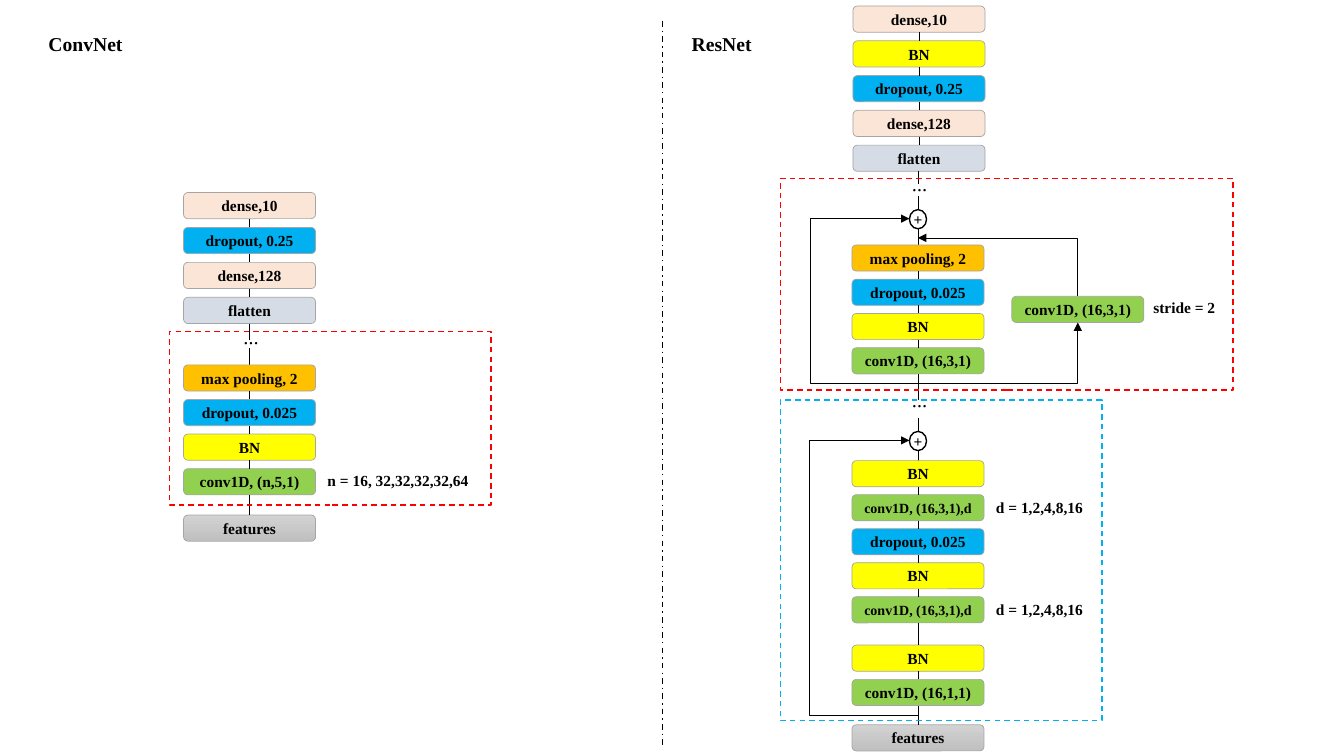
from lxml import etree
from pptx import Presentation
from pptx.dml.color import RGBColor
from pptx.enum.dml import MSO_LINE
from pptx.enum.shapes import MSO_CONNECTOR, MSO_SHAPE
from pptx.enum.text import MSO_ANCHOR, PP_ALIGN
from pptx.oxml.ns import qn
from pptx.util import Inches, Pt

STRAIGHT, ELBOW = MSO_CONNECTOR.STRAIGHT, MSO_CONNECTOR.ELBOW
ROUNDED, RECTANGLE, OVAL = MSO_SHAPE.ROUNDED_RECTANGLE, MSO_SHAPE.RECTANGLE, MSO_SHAPE.OVAL
DASH, DASH_DOT = MSO_LINE.DASH, MSO_LINE.DASH_DOT
TOP, MIDDLE = MSO_ANCHOR.TOP, MSO_ANCHOR.MIDDLE
LEFT, CENTER = PP_ALIGN.LEFT, PP_ALIGN.CENTER

BLACK = RGBColor(0x00, 0x00, 0x00)
BORDER = RGBColor(0xA5, 0xA5, 0xA5)
RED = RGBColor(0xFF, 0x00, 0x00)
BLUE = RGBColor(0x00, 0xB0, 0xF0)
GREEN = RGBColor(0x92, 0xD0, 0x50)
YELLOW = RGBColor(0xFF, 0xFF, 0x00)
ORANGE = RGBColor(0xFF, 0xC0, 0x00)
PEACH = RGBColor(0xFB, 0xE5, 0xD6)
GREY_BLUE = RGBColor(0xD6, 0xDC, 0xE5)
LIGHT_GREY = RGBColor(0xD2, 0xD2, 0xD2)
GREY = RGBColor(0xC0, 0xC0, 0xC0)

SERIF, CJK = "Times New Roman", "Noto Sans CJK SC"
SLIDE_W, SLIDE_H = 13.33, 7.5
LAYER_W, LAYER_H = 1.31, 0.26
PLUS_W, PLUS_H = 0.17, 0.19

# Layer kind, by the first word of its label
LAYER_FILLS = {"dense": PEACH, "BN": YELLOW, "dropout": BLUE, "flatten": GREY_BLUE,
               "max pooling": ORANGE, "conv1D": GREEN}


def write(shape, text, size=11, align=LEFT, anchor=TOP, font_name=SERIF):
    frame = shape.text_frame
    frame.word_wrap = True
    frame.vertical_anchor = anchor
    paragraph = frame.paragraphs[0]
    paragraph.alignment = align
    paragraph.space_before = Pt(0)
    run = paragraph.add_run()
    run.text = text
    font = run.font
    font.name, font.size, font.bold = font_name, Pt(size), True
    font.color.rgb = BLACK


def add_label(slide, text, left, top, width, size=11, font_name=SERIF):
    label = slide.shapes.add_textbox(*map(Inches, (left, top, width, 0.29)))
    write(label, text, size, font_name=font_name)
    return label


def add_ellipsis(slide, center, top):
    label = add_label(slide, "…", center - 0.16, top, 0.31, font_name=CJK)
    properties = label.text_frame.paragraphs[0].runs[0].font._element
    etree.SubElement(properties, qn("a:ea")).set("typeface", CJK)


def add_outline(slide, kind, box, color, width):
    shape = slide.shapes.add_shape(kind, *map(Inches, box))
    shape.shadow.inherit = False
    shape.fill.background()
    shape.line.color.rgb = color
    shape.line.width = Pt(width)
    return shape


def add_frame(slide, box, color):
    add_outline(slide, RECTANGLE, box, color, 1).line.dash_style = DASH


def add_centered(slide, kind, box, text, color, width, size=11):
    shape = add_outline(slide, kind, box, color, width)
    frame = shape.text_frame
    frame.margin_left = frame.margin_right = frame.margin_top = frame.margin_bottom = 0
    write(shape, text, size, CENTER, MIDDLE)
    return shape


def add_layer(slide, text, left, top):
    size = 10 if text.endswith(",d") else 11
    layer = add_centered(slide, ROUNDED, (left, top, LAYER_W, LAYER_H), text, BORDER, 0.5, size)
    kind = text.split(",")[0]
    if kind in LAYER_FILLS:
        layer.fill.solid()
        layer.fill.fore_color.rgb = LAYER_FILLS[kind]
    else:
        layer.fill.gradient()
        layer.fill.gradient_angle = 270
        for stop, color in zip(layer.fill.gradient_stops, (LIGHT_GREY, GREY)):
            stop.color.rgb = color
    return layer


def add_plus(slide, center, top):
    box = (center - PLUS_W / 2, top, PLUS_W, PLUS_H)
    add_centered(slide, OVAL, box, "+", BLACK, 1)


def add_line(slide, x1, y1, x2, y2, kind=STRAIGHT, width=0.5):
    line = slide.shapes.add_connector(kind, *map(Inches, (x1, y1, x2, y2)))
    line.line.color.rgb = BLACK
    line.line.width = Pt(width)
    etree.SubElement(line._element.spPr, qn("a:effectLst"))
    return line


def add_arrowhead(line, end):
    outline = line._element.spPr.find(qn("a:ln"))
    etree.SubElement(outline, qn(f"a:{end}")).set("type", "triangle")


def add_corner(slide, x1, y1, x2, y2, end):
    """Arrow that runs level from (x1, y1), then upright to (x2, y2)."""
    corner = add_line(slide, x1, y1, x2, y2, ELBOW)
    corner._element.spPr.find(qn("a:prstGeom")).set("prst", "bentConnector2")
    add_arrowhead(corner, end)


def add_skip(slide, x1, y1, x2, y2, bend):
    """Arrow that leaves level, rises at x = bend and comes back level."""
    skip = add_line(slide, x1, y1, x2, y2, ELBOW)
    adjustments = skip._element.spPr.find(qn("a:prstGeom")).get_or_add_avLst()
    guide = etree.SubElement(adjustments, qn("a:gd"))
    guide.set("name", "adj1")
    guide.set("fmla", f"val {round((bend - x1) / (x2 - x1) * 100000)}")
    add_arrowhead(skip, "tailEnd")


def join(slide, upper, lower):
    line = add_line(slide, 0, 0, 1, 1)
    line.begin_connect(upper, 2)
    line.end_connect(lower, 0)


def add_stack(slide, left, first_top, last_top, texts):
    """Evenly spaced layers, each joined to the next."""
    pitch = (last_top - first_top) / (len(texts) - 1)
    layers = [add_layer(slide, text, left, first_top + row * pitch)
              for row, text in enumerate(texts)]
    for upper, lower in zip(layers, layers[1:]):
        join(slide, upper, lower)
    return layers


def draw_heading(placeholder, text, left, top):
    placeholder.left, placeholder.top = Inches(left), Inches(top)
    placeholder.width, placeholder.height = Inches(1.16), Inches(0.34)
    write(placeholder, text, 14)


def draw_convnet(slide, left, top, width, height):
    column = left + 0.14
    center = column + LAYER_W / 2
    add_stack(slide, column, top - 1.38, top - 0.34,
              ["dense,10", "dropout, 0.25", "dense,128", "flatten"])
    add_line(slide, center, top - 0.08, center, top + 0.08)
    add_ellipsis(slide, center, top - 0.02)
    add_line(slide, center, top + 0.16, center, top + 0.33)
    layers = add_stack(slide, column, top + 0.33, top + 1.36,
                       ["max pooling, 2", "dropout, 0.025", "BN", "conv1D, (n,5,1)"])
    join(slide, layers[-1], add_layer(slide, "features", column, top + height + 0.1))
    add_label(slide, "n = 16, 32,32,32,32,64", left + 1.47, top + 1.33, 1.8)
    add_frame(slide, (left, top, width, height), RED)


def draw_resnet_head(slide, left, top, height):
    add_stack(slide, left, top, top + height - LAYER_H,
              ["dense,10", "BN", "dropout, 0.25", "dense,128", "flatten"])


def draw_pooling_block(slide, left, top, width, height):
    column = left + 0.71
    center = column + LAYER_W / 2
    branch = left + 2.95
    split = top + height - 0.07
    add_line(slide, center, top - 0.07, center, top + 0.06)
    add_ellipsis(slide, center, top - 0.02)
    add_line(slide, center, top + 0.17, center, top + 0.31)
    add_plus(slide, center, top + 0.31)
    add_line(slide, center, top + 0.5, center, top + 0.66)
    add_stack(slide, column, top + 0.66, top + 1.68,
              ["max pooling, 2", "dropout, 0.025", "BN", "conv1D, (16,3,1)"])
    add_line(slide, center, top + 1.94, center, top + height + 0.1)
    # Strided branch on the right, skip path on the left
    add_layer(slide, "conv1D, (16,3,1)", branch - LAYER_W / 2, top + 1.17)
    add_corner(slide, center, split, branch, top + 1.43, "tailEnd")
    add_corner(slide, center, top + 0.59, branch, top + 1.17, "headEnd")
    add_skip(slide, center, split, center - PLUS_W / 2, top + 0.4, left + 0.3)
    add_label(slide, "stride = 2", left + 3.6, top + 1.14, 1.16)
    add_frame(slide, (left, top, width, height), RED)


def draw_dilated_block(slide, left, top, width, height):
    column = left + 0.71
    center = column + LAYER_W / 2
    add_ellipsis(slide, center, top - 0.08)
    add_line(slide, center, top + 0.18, center, top + 0.31)
    add_plus(slide, center, top + 0.31)
    add_line(slide, center, top + 0.5, center, top + 0.6)
    upper = add_stack(slide, column, top + 0.6, top + 1.95,
                      ["BN", "conv1D, (16,3,1),d", "dropout, 0.025", "BN", "conv1D, (16,3,1),d"])
    lower = add_stack(slide, column, top + 2.43, top + 2.77, ["BN", "conv1D, (16,1,1)"])
    join(slide, upper[-1], lower[0])
    join(slide, lower[-1], add_layer(slide, "features", column, top + height + 0.04))
    add_skip(slide, center, top + height - 0.05, center - PLUS_W / 2, top + 0.4, left + 0.29)
    for label_top in (0.92, 1.93):
        add_label(slide, "d = 1,2,4,8,16", left + 2.04, top + label_top, 1.16)
    add_frame(slide, (left, top, width, height), BLUE)


def main():
    presentation = Presentation()
    presentation.slide_width, presentation.slide_height = Inches(SLIDE_W), Inches(SLIDE_H)
    slide = presentation.slides.add_slide(presentation.slide_layouts.get_by_name("Comparison"))
    headings = {1: ("ConvNet", 0.38), 3: ("ResNet", 6.76)}
    for placeholder in list(slide.placeholders):
        index = placeholder.placeholder_format.idx
        if index in headings:
            draw_heading(placeholder, *headings[index], 0.27)
        else:
            placeholder._element.getparent().remove(placeholder._element)
    draw_convnet(slide, 1.68, 3.29, 3.19, 1.72)
    draw_resnet_head(slide, 8.46, 0.06, 1.64)
    draw_pooling_block(slide, 7.74, 1.77, 4.49, 2.1)
    draw_dilated_block(slide, 7.74, 3.97, 3.19, 3.18)
    add_line(slide, 6.57, 0.21, 6.57, 7.39, width=1).line.dash_style = DASH_DOT
    presentation.save("out.pptx")


if __name__ == "__main__":
    main()
